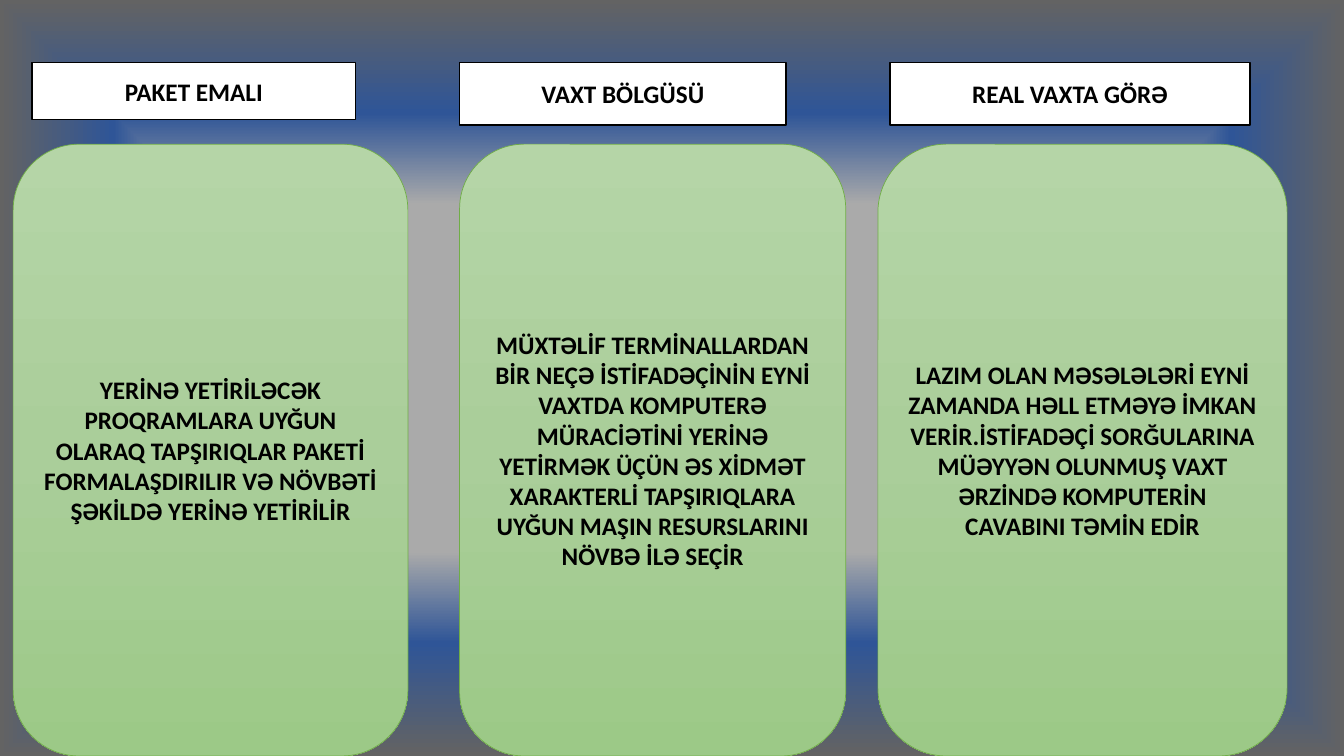
from lxml import etree
from pptx import Presentation, dml, util as u
from pptx.dml import color
from pptx.enum import shapes, text
from pptx.oxml import ns

KIND = shapes.MSO_SHAPE
FONT = {"name": "Calibri", "size": u.Pt(18), "bold": True}
FRAME = {"word_wrap": True, "vertical_anchor": text.MSO_ANCHOR.MIDDLE}
CENTRE = {"l": "50000", "t": "50000", "r": "50000", "b": "50000"}
BACK = [(46, "AAAAAA"), (70, "2F5597"), (100, "636363")]
GREEN = [(0, "B5D5A7"), (50, "AACE9A"), (100, "9CC987")]

HEAD_TOP, CARD_TOP, CARD_HIGH = 44.6, 103, 437
# heading, its left, width and height; card text, its left and width
COLUMNS = [
    ("PAKET EMALI", 23, 231, 41,
     "YERİNƏ YETİRİLƏCƏK PROQRAMLARA UYĞUN OLARAQ TAPŞIRIQLAR PAKETİ "
     "FORMALAŞDIRILIR VƏ NÖVBƏTİ ŞƏKİLDƏ YERİNƏ YETİRİLİR", 9.4, 282),
    ("VAXT BÖLGÜSÜ", 328.3, 233.3, 44.6,
     "MÜXTƏLİF TERMİNALLARDAN BİR NEÇƏ İSTİFADƏÇİNİN EYNİ VAXTDA KOMPUTERƏ "
     "MÜRACİƏTİNİ YERİNƏ YETİRMƏK ÜÇÜN ƏS XİDMƏT XARAKTERLİ TAPŞIRIQLARA "
     "UYĞUN MAŞIN RESURSLARINI NÖVBƏ İLƏ SEÇİR", 328.3, 275.8),
    ("REAL VAXTA GÖRƏ", 635.8, 257, 44.6,
     "LAZIM OLAN MƏSƏLƏLƏRİ EYNİ ZAMANDA HƏLL ETMƏYƏ İMKAN "
     "VERİR.İSTİFADƏÇİ SORĞULARINA MÜƏYYƏN OLUNMUŞ VAXT ƏRZİNDƏ "
     "KOMPUTERİN CAVABINI TƏMİN EDİR", 627.1, 292.3),
]


def rgb(code):
    return color.RGBColor.from_string(code)


def put(item, style):
    for key, value in style.items():
        setattr(item, key, value)


def blend(owner, fill, stops, round_centre=False):
    """Give the fill a gradient, downwards or out from the centre."""
    fill.gradient()
    grad = next(owner.element.iter(ns.qn("a:gradFill")))
    for child in list(grad):
        grad.remove(child)

    def add(parent, tag, **values):
        return etree.SubElement(parent, ns.qn("a:" + tag), values)

    chain = add(grad, "gsLst")
    for spot, code in stops:
        add(add(chain, "gs", pos=str(spot * 1000)), "srgbClr", val=code)
    if round_centre:
        add(add(grad, "path", path="shape"), "fillToRect", **CENTRE)
    else:
        add(grad, "lin", ang="5400000", scaled="0")


class Board:
    def __init__(self, slide):
        self.slide = slide
        blend(slide, slide.background.fill, BACK, True)

    def box(self, kind, place, words, edge, width):
        shape = self.slide.shapes.add_shape(kind, *map(u.Pt, place))
        shape.shadow.inherit = False
        shape.line.color.rgb = rgb(edge)
        shape.line.width = u.Pt(width)
        frame = shape.text_frame
        put(frame, FRAME)
        para = frame.paragraphs[0]
        para.alignment = text.PP_ALIGN.CENTER
        run = para.add_run()
        run.text = words
        put(run.font, FONT)
        run.font.color.rgb = rgb("000000")
        return shape

    def head(self, words, left, wide, high):
        shape = self.box(KIND.RECTANGLE, (left, HEAD_TOP, wide, high),
                         words, "000000", 1)
        shape.fill.solid()
        shape.fill.fore_color.rgb = rgb("FFFFFF")

    def card(self, words, left, wide):
        shape = self.box(KIND.ROUNDED_RECTANGLE,
                         (left, CARD_TOP, wide, CARD_HIGH),
                         words, "70AD47", 0.5)
        blend(shape, shape.fill, GREEN)


def main():
    deck = Presentation()
    deck.slide_width, deck.slide_height = u.Pt(960), u.Pt(540)
    board = Board(deck.slides.add_slide(deck.slide_layouts[6]))
    for column in COLUMNS:
        board.head(*column[:4])
    for column in COLUMNS:
        board.card(*column[4:])
    deck.save("out.pptx")


if __name__ == "__main__":
    main()
